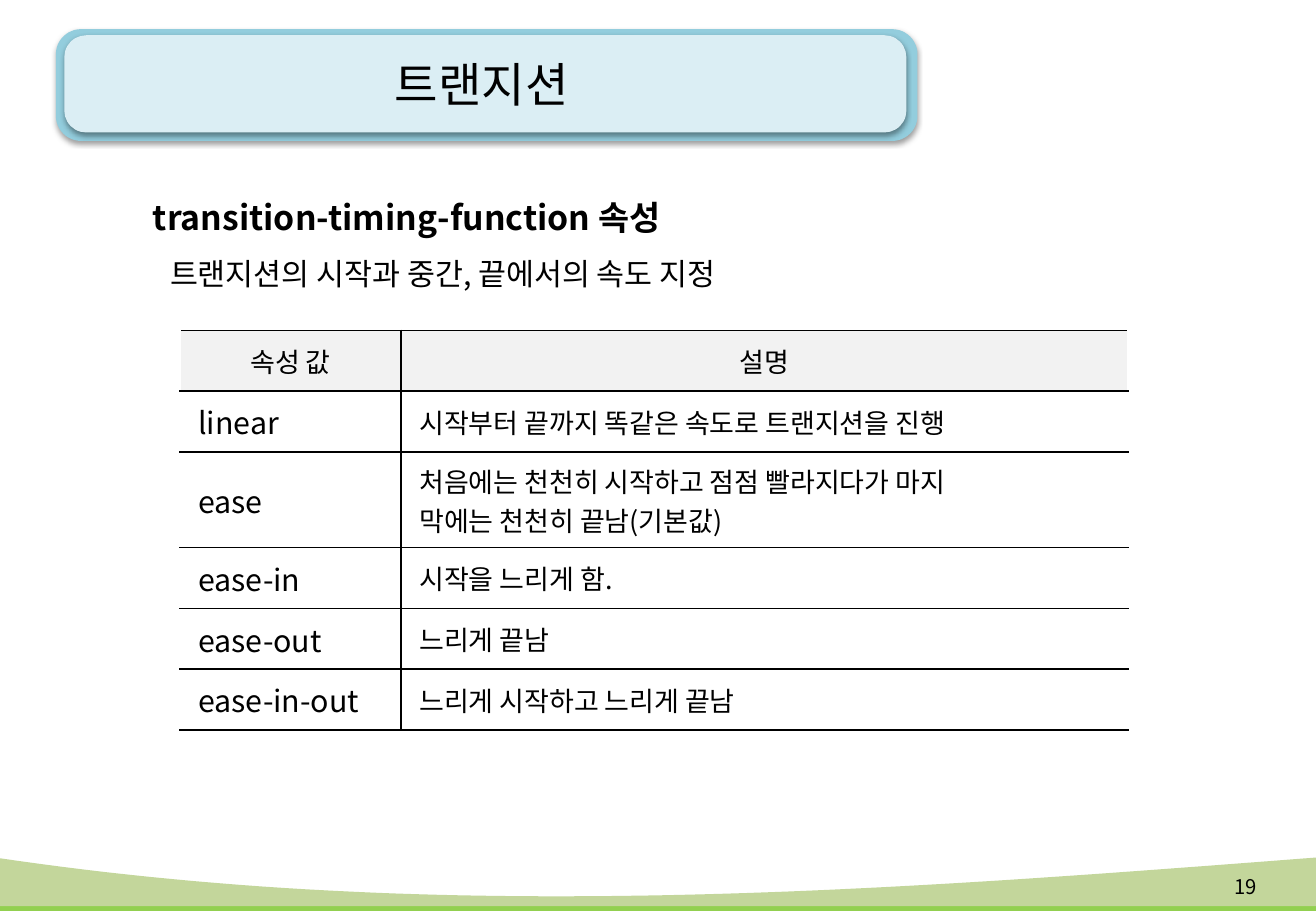
from lxml import etree
from pptx import Presentation
from pptx.dml.color import RGBColor
from pptx.enum.shapes import MSO_SHAPE
from pptx.enum.text import MSO_ANCHOR, PP_ALIGN
from pptx.oxml.ns import qn
from pptx.util import Inches, Pt

ROUNDED = MSO_SHAPE.ROUNDED_RECTANGLE
MIDDLE, TOP = MSO_ANCHOR.MIDDLE, MSO_ANCHOR.TOP
LEFT, CENTER, RIGHT = PP_ALIGN.LEFT, PP_ALIGN.CENTER, PP_ALIGN.RIGHT

WIDTH, HEIGHT = Inches(10.83), Inches(7.5)
FONT = "Noto Sans CJK KR"
COLORS = {
    "ink": "000000",
    "frame": "93CDDD",
    "plate": "DBEEF4",
    "header": "F2F2F2",
    "grass": "92D050",
    "hill": "C3D69B",
}
COLUMN_SHARES = (16.81, 55.22)
ROW_SHARE, TALL_ROW_SHARE = 6.67, 10.53
TIMING_VALUES = [
    ("속성 값", ["설명"]),
    ("linear", ["시작부터 끝까지 똑같은 속도로 트랜지션을 진행"]),
    ("ease", ["처음에는 천천히 시작하고 점점 빨라지다가 마지", "막에는 천천히 끝남(기본값)"]),
    ("ease-in", ["시작을 느리게 함."]),
    ("ease-out", ["느리게 끝남"]),
    ("ease-in-out", ["느리게 시작하고 느리게 끝남"]),
]


def across(percent):
    return round(WIDTH * percent / 100)


def down(percent):
    return round(HEIGHT * percent / 100)


def area(left, top, width, height):
    return across(left), down(top), across(width), down(height)


def paint(fill, color):
    fill.solid()
    fill.fore_color.rgb = RGBColor.from_string(COLORS[color])


def write(paragraph, text, size=16, bold=False, align=LEFT, spacing=None, indent=0):
    paragraph.alignment = align
    if spacing:
        paragraph.line_spacing = spacing
    if indent:
        properties = paragraph._p.get_or_add_pPr()
        properties.set("marL", str(across(indent)))
        properties.set("indent", "0")
    run = paragraph.add_run()
    run.text = text
    run.font.size = Pt(size)
    run.font.bold = bold
    run.font.name = FONT
    run.font.color.rgb = RGBColor.from_string(COLORS["ink"])
    etree.SubElement(run._r.get_or_add_rPr(), qn("a:ea"), typeface=FONT)


def write_lines(frame, lines, **style):
    for index, line in enumerate(lines):
        paragraph = frame.add_paragraph() if index else frame.paragraphs[0]
        write(paragraph, line, **style)


def add_text_area(slide, bounds, anchor=TOP):
    frame = slide.shapes.add_textbox(*area(*bounds)).text_frame
    frame.word_wrap = True
    frame.vertical_anchor = anchor
    return frame


def add_banner_layer(slide, bounds, color):
    layer = slide.shapes.add_shape(ROUNDED, *area(*bounds))
    layer.adjustments[0] = 0.225
    paint(layer.fill, color)
    layer.line.fill.background()
    layer.shadow.inherit = False
    effects = layer._element.spPr.find(qn("a:effectLst"))
    shadow = etree.SubElement(
        effects, qn("a:outerShdw"), blurRad=str(Pt(3.1)), dist=str(Pt(1.6)),
        dir="5400000", algn="t", rotWithShape="0")
    tint = etree.SubElement(shadow, qn("a:srgbClr"), val=COLORS["ink"])
    etree.SubElement(tint, qn("a:alpha"), val="38000")


def add_wave(slide, heights, bottom, color, steps=60):
    def blend(values, t):
        a, b, c, d = values
        u = 1 - t
        return a * u**3 + 3 * b * u**2 * t + 3 * c * u * t**2 + d * t**3

    stations = (-0.37, 33.61, 66.39, 100)
    crest = [
        (across(blend(stations, i / steps)), down(blend(heights, i / steps)))
        for i in range(steps + 1)
    ]
    base = [(across(x), down(bottom)) for x in (stations[-1], stations[0])]
    builder = slide.shapes.build_freeform(*crest[0])
    builder.add_line_segments(crest[1:] + base, close=True)
    wave = builder.convert_to_shape()
    paint(wave.fill, color)
    wave.line.fill.background()
    wave.shadow.inherit = False


def add_rules(cell, sides):
    properties = cell._tc.get_or_add_tcPr()
    for side in sides:
        rule = etree.SubElement(properties, qn(f"a:ln{side}"), w=str(Pt(1)))
        solid = etree.SubElement(rule, qn("a:solidFill"))
        etree.SubElement(solid, qn("a:srgbClr"), val=COLORS["ink"])


def fill_cell(cell, lines, sides, is_header, **style):
    cell.vertical_anchor = MIDDLE
    if not is_header:
        cell.margin_left = across(1.4)
    add_rules(cell, sides)
    if is_header:
        paint(cell.fill, "header")
    else:
        cell.fill.background()
    write_lines(cell.text_frame, lines, align=CENTER if is_header else LEFT, **style)


def add_timing_table(slide):
    row_shares = [TALL_ROW_SHARE if len(lines) > 1 else ROW_SHARE for _, lines in TIMING_VALUES]
    bounds = area(13.67, 36.27, sum(COLUMN_SHARES), sum(row_shares))
    table = slide.shapes.add_table(len(TIMING_VALUES), len(COLUMN_SHARES), *bounds).table
    table.first_row = table.horz_banding = False
    for column, share in zip(table.columns, COLUMN_SHARES):
        column.width = across(share)
    for index, (value, description) in enumerate(TIMING_VALUES):
        is_header = index == 0
        table.rows[index].height = down(row_shares[index])
        fill_cell(table.cell(index, 0), [value], "RTB", is_header, size=16 if is_header else 18)
        fill_cell(table.cell(index, 1), description, "LTB", is_header)


def main():
    deck = Presentation()
    deck.slide_width, deck.slide_height = WIDTH, HEIGHT
    slide = deck.slides.add_slide(deck.slide_layouts[6])

    add_wave(slide, (96.53, 101.33, 99.07, 96.53), 100, "grass")
    add_banner_layer(slide, (4.25, 3.2, 65.47, 12.27), "frame")
    add_banner_layer(slide, (4.89, 3.87, 63.99, 10.67), "plate")
    add_wave(slide, (94.13, 101.47, 97.87, 94.13), 99.47, "hill")

    title = add_text_area(slide, (4.25, 2.93, 64.73, 12.53), MIDDLE)
    write_lines(title, ["트랜지션"], size=28, align=CENTER)
    page_number = add_text_area(slide, (90.77, 94.67, 5.63, 5.33), MIDDLE)
    write_lines(page_number, ["19"], size=12, align=RIGHT)

    intro = add_text_area(slide, (10.71, 18.67, 80.7, 14.13))
    write_lines(intro, ["transition-timing-function 속성"], size=20, bold=True, spacing=1.5)
    write(intro.add_paragraph(), "트랜지션의 시작과 중간, 끝에서의 속도 지정",
          size=18, spacing=1.5, indent=1.3)

    add_timing_table(slide)
    deck.save("out.pptx")


if __name__ == "__main__":
    main()
